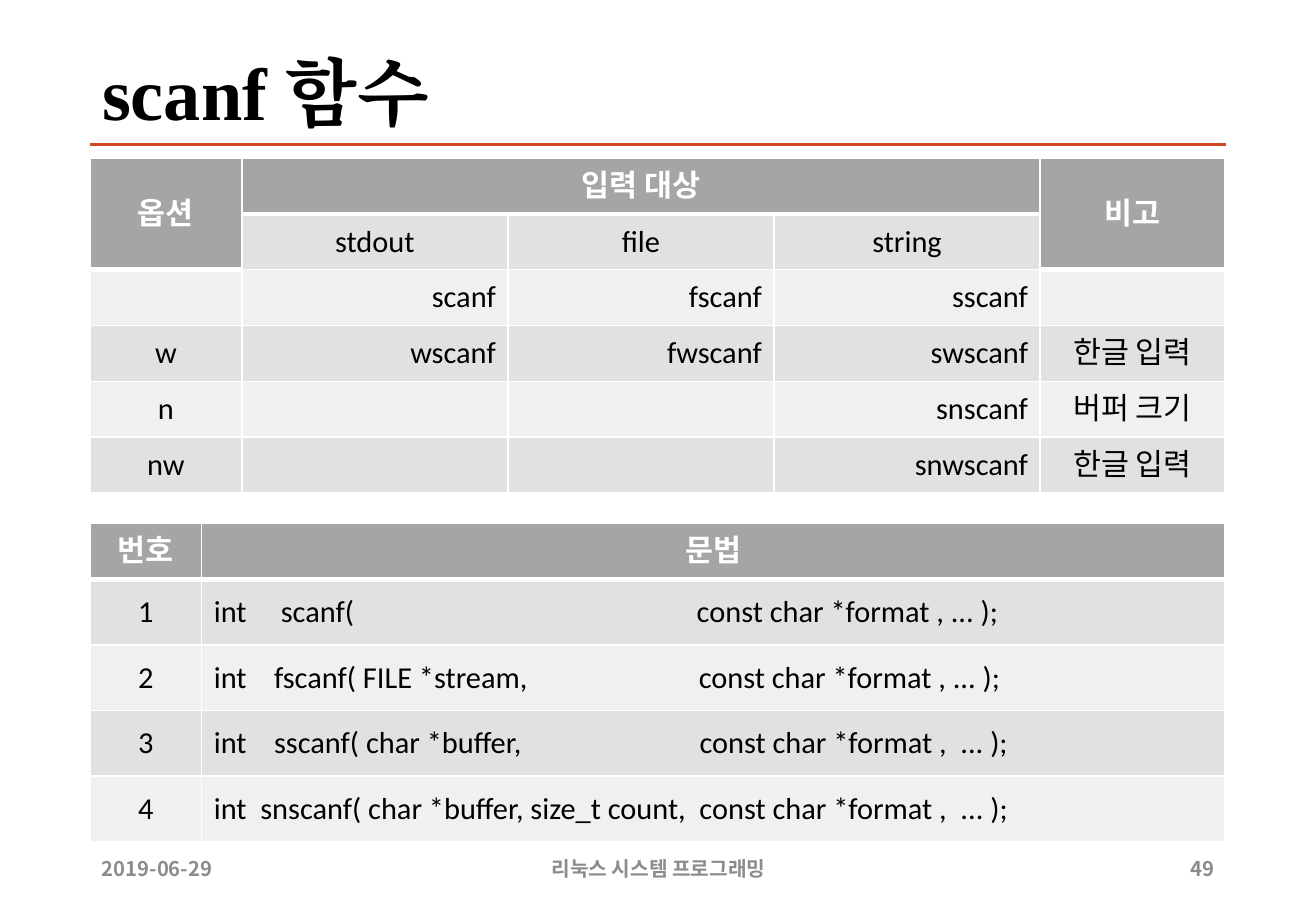
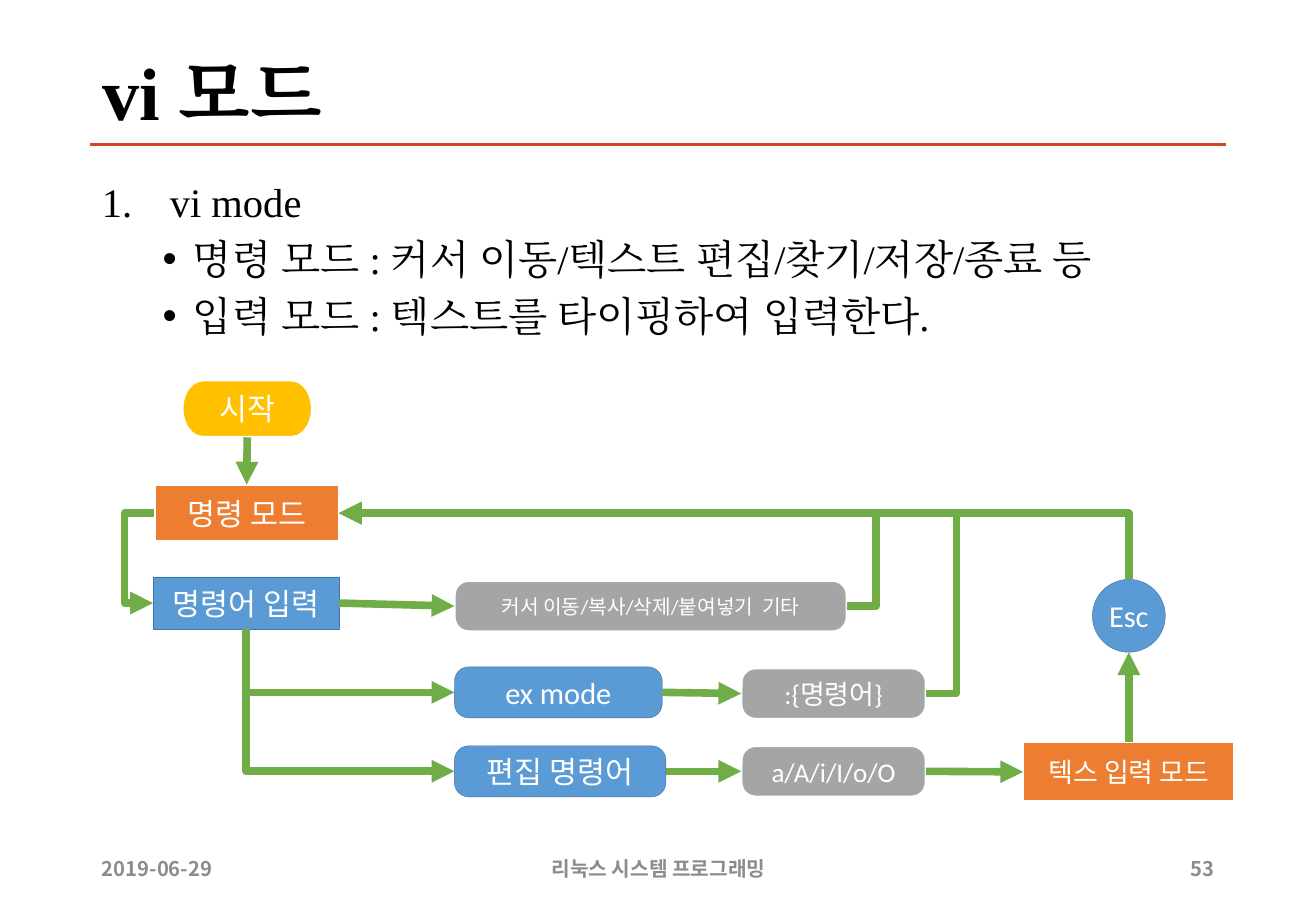
from pptx import Presentation
from pptx.dml.color import RGBColor
from pptx.enum.shapes import MSO_CONNECTOR, MSO_SHAPE
from pptx.enum.text import MSO_ANCHOR, MSO_AUTO_SIZE, PP_ALIGN
from pptx.oxml.ns import qn
from pptx.util import Inches, Pt
from lxml.etree import SubElement

LEFT, CENTER, RIGHT = PP_ALIGN.LEFT, PP_ALIGN.CENTER, PP_ALIGN.RIGHT
RECT, ROUND = MSO_SHAPE.RECTANGLE, MSO_SHAPE.ROUNDED_RECTANGLE
TOP, WEST, BOTTOM, EAST = range(4)
WHITE, BLACK, GRAY = "FFFFFF", "000000", "A5A5A5"
BLUE, ORANGE, YELLOW, GREEN = "5B9BD5", "ED7D31", "FFC000", "70AD47"
RULE, FADED, NAVY = "D24726", "8C8C8C", "43739E"
BANDS = ("F0F0F0", "E1E1E1")
SANS, SERIF, NOTO = "Calibri", "Times New Roman", "Noto Sans CJK KR"


def color(code):
    return RGBColor.from_string(code)


class Deck:
    edge, width = 0.74, 9.34

    def __init__(self):
        self.show = Presentation()
        self.show.slide_width = Inches(10.83)
        self.show.slide_height = Inches(7.5)
        self.slide = None

    def start(self, title, number):
        """Add a slide with its title, rule and footer."""
        self.slide = self.show.slides.add_slide(self.show.slide_layouts[5])
        head = self.slide.shapes.title
        head.left, head.top = Inches(self.edge), Inches(0.4)
        head.width, head.height = Inches(self.width), Inches(0.79)
        frame = head.text_frame
        frame.auto_size = MSO_AUTO_SIZE.NONE
        frame.vertical_anchor = MSO_ANCHOR.MIDDLE
        para = frame.paragraphs[0]
        para.line_spacing = 0.9
        self.label(para, title, 44, BLACK, SERIF, True)
        self.line((self.edge, 1.19), (10.09, 1.19), RULE, 2, False)
        for left, wide, text, align in (
            (self.edge, 1.27, "2019-06-29", LEFT),
            (3.59, 3.66, "리눅스 시스템 프로그래밍", CENTER),
            (9.56, 0.53, number, RIGHT),
        ):
            frame = self.box(left, 6.95, wide, 0.4)
            frame.vertical_anchor = MSO_ANCHOR.MIDDLE
            self.label(frame.paragraphs[0], text, 12, FADED, NOTO, True, align)

    def label(self, para, text, size, tint, face=SANS, bold=False, align=LEFT):
        para.alignment = align
        run = para.add_run()
        run.text = text
        font = run.font
        font.size, font.bold, font.name = Pt(size), bold, face
        font.color.rgb = color(tint)
        SubElement(run._r.get_or_add_rPr(), qn("a:ea"), typeface=face)

    def box(self, left, top, wide, high):
        area = map(Inches, (left, top, wide, high))
        frame = self.slide.shapes.add_textbox(*area).text_frame
        frame.word_wrap = True
        return frame

    def points(self, left, top, wide, high, items):
        """Add (level, text) items: numbers at level 0, dots below."""
        frame = self.box(left, top, wide, high)
        for spot, (level, text) in enumerate(items):
            para = frame.add_paragraph() if spot else frame.paragraphs[0]
            para.level = level
            if spot:
                para.space_before = Pt(5)
            margin, hang = ((0.56, 0.56), (0.75, 0.25))[level]
            props = para._p.get_or_add_pPr()
            props.set("marL", str(Inches(margin)))
            props.set("indent", str(-Inches(hang)))
            if level:
                SubElement(props, qn("a:buFont"), typeface="Arial")
                SubElement(props, qn("a:buChar"), char="•")
            else:
                SubElement(props, qn("a:buAutoNum"), type="arabicPeriod")
            self.label(para, text, 24, BLACK, SERIF)

    def border(self, cell, top, bottom):
        props = cell._tc.get_or_add_tcPr()
        sides = (("lnL", 1), ("lnR", 1), ("lnT", top), ("lnB", bottom))
        for spot, (side, size) in enumerate(sides):
            line = props.makeelement(qn("a:" + side), {"w": str(Pt(size))})
            fill = SubElement(line, qn("a:solidFill"))
            SubElement(fill, qn("a:srgbClr"), val=WHITE)
            props.insert(spot, line)

    def table(self, top, cols, highs, rows, aligns, merges=(), extra=()):
        """Row 0 and the cells in extra are headers; other rows are banded."""
        area = map(Inches, (self.edge, top, sum(cols), sum(highs)))
        grid = self.slide.shapes.add_table(len(rows), len(cols), *area).table
        for col, wide in zip(grid.columns, cols):
            col.width = Inches(wide)
        for row, high in zip(grid.rows, highs):
            row.height = Inches(high)
        heads = {(0, c) for c in range(len(cols))} | set(extra)
        for r, texts in enumerate(rows):
            for c, text in enumerate(texts):
                cell = grid.cell(r, c)
                head = (r, c) in heads
                cell.vertical_anchor = MSO_ANCHOR.MIDDLE
                cell.fill.solid()
                cell.fill.fore_color.rgb = color(GRAY if head else BANDS[r % 2])
                under = not head and (r - 1, c) in heads
                self.border(cell, 3 if under else 1, 3 if head else 1)
                if text:
                    align = CENTER if r < len(rows) - 4 else aligns[c]
                    self.label(cell.text_frame.paragraphs[0], text, 18,
                               WHITE if head else BLACK, SANS, head, align)
        for first, last in merges:
            grid.cell(*first).merge(grid.cell(*last))

    def node(self, kind, left, top, wide, high, text, fill, size=18):
        area = map(Inches, (left, top, wide, high))
        node = self.slide.shapes.add_shape(kind, *area)
        node.shadow.inherit = False
        node.fill.solid()
        node.fill.fore_color.rgb = color(fill)
        blue = fill == BLUE
        node.line.color.rgb = color(NAVY if blue else WHITE)
        node.line.width = Pt(0.25 if blue else 1.5)
        if kind == ROUND:
            node.adjustments[0] = 0.28
        frame = node.text_frame
        frame.word_wrap = True
        frame.vertical_anchor = MSO_ANCHOR.MIDDLE
        if kind == MSO_SHAPE.OVAL:
            frame.margin_left = frame.margin_right = 0
            frame.margin_top = frame.margin_bottom = 0
        self.label(frame.paragraphs[0], text, size, WHITE, align=CENTER)
        return node

    def style(self, link, tint, size, arrow):
        link.line.color.rgb = color(tint)
        link.line.width = Pt(size)
        props = link._element.spPr
        if arrow:
            SubElement(props.find(qn("a:ln")), qn("a:tailEnd"), type="triangle")
        SubElement(props, qn("a:effectLst"))

    def line(self, start, end, tint=GREEN, size=4.5, arrow=True):
        ends = map(Inches, (*start, *end))
        link = self.slide.shapes.add_connector(MSO_CONNECTOR.STRAIGHT, *ends)
        self.style(link, tint, size, arrow)
        return link

    def join(self, a, out, b, into, kind=MSO_CONNECTOR.STRAIGHT):
        link = self.slide.shapes.add_connector(kind, 0, 0, 0, 0)
        link.begin_connect(a, out)
        link.end_connect(b, into)
        self.style(link, GREEN, 4.5, True)
        return link

    def loop(self, a, out, b, into, via):
        """Elbow whose upright part stands at x = via."""
        link = self.join(a, out, b, into, MSO_CONNECTOR.ELBOW)
        share = (Inches(via) - link.begin_x) / (link.end_x - link.begin_x)
        values = link._element.spPr.prstGeom.get_or_add_avLst()
        SubElement(values, qn("a:gd"), name="adj1",
                   fmla=f"val {round(share * 100000)}")

    def turn(self, a, out, b, into):
        """Elbow with one corner: upright first, then level."""
        link = self.join(a, out, b, into, MSO_CONNECTOR.ELBOW)
        dx, dy = link.end_x - link.begin_x, link.end_y - link.begin_y
        mid_x, mid_y = link.begin_x + dx // 2, link.begin_y + dy // 2
        link.width, link.height = abs(dy), abs(dx)
        link.left, link.top = mid_x - abs(dy) // 2, mid_y - abs(dx) // 2
        props = link._element.spPr
        props.prstGeom.set("prst", "bentConnector2")
        frame = props.find(qn("a:xfrm"))
        frame.set("rot", str(270 * 60000))
        frame.set("flipH", str(int(dy > 0)))
        frame.set("flipV", str(int(dx < 0)))


def scan(deck):
    deck.start("scanf 함수", "49")
    # Function names by option and source
    deck.table(
        1.3, [1.25, 2.19, 2.19, 2.19, 1.52], [0.46] * 6,
        [("옵션", "입력 대상", "", "", "비고"),
         ("", "stdout", "file", "string", ""),
         ("", "scanf", "fscanf", "sscanf", ""),
         ("w", "wscanf", "fwscanf", "swscanf", "한글 입력"),
         ("n", "", "", "snscanf", "버퍼 크기"),
         ("nw", "", "", "snwscanf", "한글 입력")],
        [CENTER, RIGHT, RIGHT, RIGHT, CENTER],
        merges=[((0, 0), (1, 0)), ((0, 1), (0, 3)), ((0, 4), (1, 4))],
        extra=[(1, 0), (1, 4)])
    # Declarations
    deck.table(
        4.31, [0.92, 8.42], [0.46] + [0.54] * 4,
        [("번호", "문법"),
         ("1", "int     scanf(                                                  const char *format , ... );"),
         ("2", "int    fscanf( FILE *stream,                         const char *format , ... );"),
         ("3", "int    sscanf( char *buffer,                          const char *format ,  ... );"),
         ("4", "int  snscanf( char *buffer, size_t count,  const char *format ,  ... );")],
        [CENTER, LEFT])


def modes(deck):
    deck.start("vi 모드", "53")
    deck.points(deck.edge, 1.41, deck.width, 1.71, [
        (0, "vi mode"),
        (1, "명령 모드 : 커서 이동/텍스트 편집/찾기/저장/종료 등"),
        (1, "입력 모드 : 텍스트를 타이핑하여 입력한다.")])
    # Boxes of the flow
    begin = deck.node(MSO_SHAPE.FLOWCHART_TERMINATOR, 1.5, 3.13, 1.07, 0.47, "시작", YELLOW)
    mode = deck.node(RECT, 1.27, 3.99, 1.52, 0.47, "명령 모드", ORANGE)
    order = deck.node(RECT, 1.26, 4.75, 1.53, 0.43, "명령어 입력", BLUE)
    move = deck.node(ROUND, 3.74, 4.78, 3.23, 0.42, "커서 이동/복사/삭제/붙여넣기  기타", GRAY, 12)
    colon = deck.node(ROUND, 3.74, 5.49, 1.71, 0.42, "ex mode", BLUE)
    brace = deck.node(ROUND, 6.1, 5.5, 1.52, 0.42, ":{명령어}", GRAY, 16)
    edit = deck.node(ROUND, 3.74, 6.14, 1.74, 0.42, "편집 명령어", BLUE)
    keys = deck.node(ROUND, 6.1, 6.14, 1.52, 0.42, "a/A/i/I/o/O", GRAY, 16)
    typing = deck.node(RECT, 8.42, 6.11, 1.74, 0.49, "텍스 입력 모드", ORANGE, 16)
    escape = deck.node(MSO_SHAPE.OVAL, 8.99, 4.77, 0.6, 0.6, "Esc", BLUE)
    # Straight arrows
    deck.join(begin, BOTTOM, mode, TOP)
    for a, b in ((order, move), (colon, brace), (edit, keys), (keys, typing)):
        deck.join(a, EAST, b, WEST)
    deck.line((9.29, 6.11), (9.29, 5.37)).begin_connect(typing, TOP)
    # Bent arrows
    deck.loop(mode, WEST, order, WEST, 1.02)
    deck.loop(move, EAST, mode, EAST, 7.21)
    deck.loop(brace, EAST, mode, EAST, 7.87)
    deck.turn(order, BOTTOM, colon, WEST)
    deck.turn(order, BOTTOM, edit, WEST)
    deck.turn(escape, TOP, mode, EAST)


def main():
    deck = Deck()
    scan(deck)
    modes(deck)
    deck.show.save("out.pptx")


if __name__ == "__main__":
    main()
